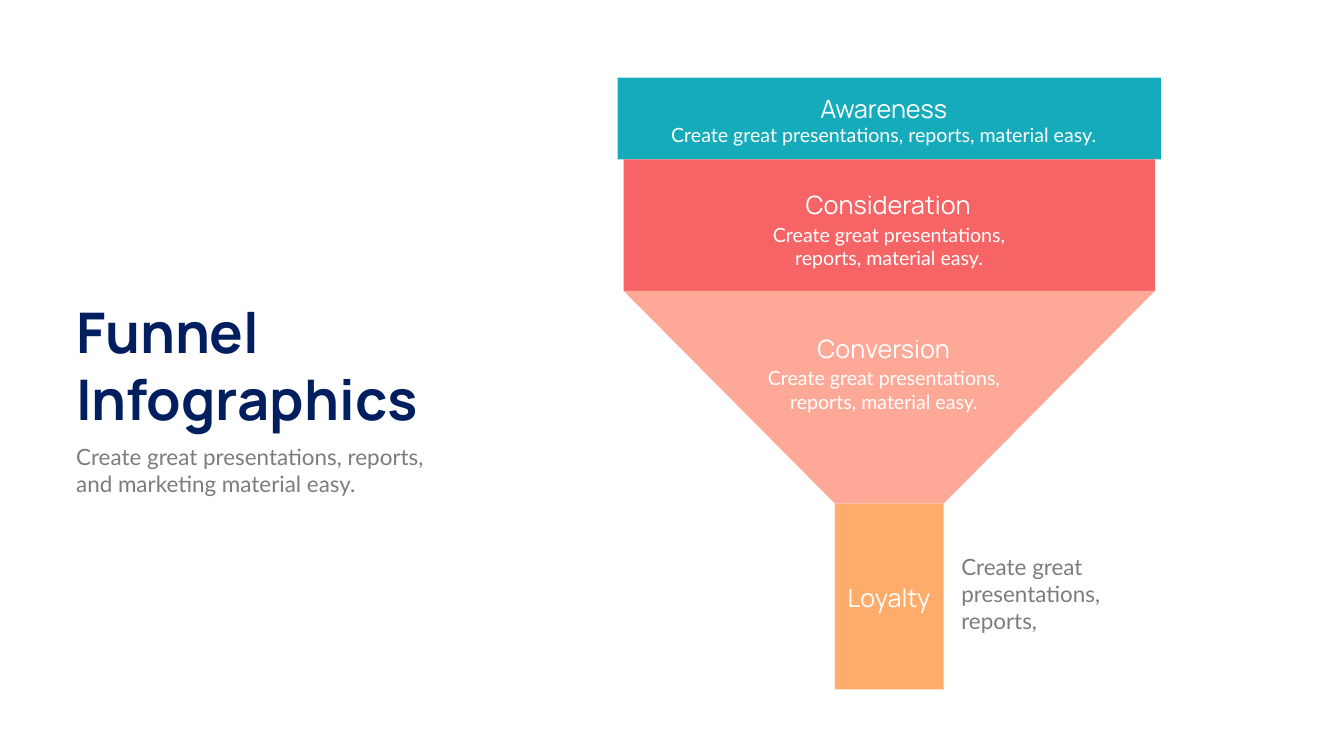
from pptx import Presentation
from pptx.dml.color import RGBColor
from pptx.enum.shapes import MSO_SHAPE
from pptx.enum.text import MSO_ANCHOR, MSO_AUTO_SIZE, PP_ALIGN
from pptx.util import Inches, Pt

THEME = {
    "navy": "011F5F", "grey": "7F7A7E", "white": "FFFFFF",
    "teal": "16ABBA", "red": "F76466", "pink": "FEA998", "orange": "FFAB69",
    "head": "Manrope", "body": "Lato",
    "title": 80, "lead": 32, "label": 36, "note": 28,
}

TITLE = ["Funnel", "Infographics"]
LEAD = ["Create great presentations, reports, and marketing material easy."]
SIDE = ["Create great presentations, reports,"]
NOTE = ["Create great presentations, reports, material easy."]

# Funnel bands from top to bottom: fill, height, upper width, lower width
AXIS, TOP = 17.64, 1.54
BANDS = [
    ("teal", 1.62, 10.78, 10.78),
    ("red", 2.61, 10.54, 10.54),
    ("pink", 4.22, 10.54, 2.16),
    ("orange", 3.69, 2.16, 2.16),
]

# Text on the bands: label, its box, box of its note
STAGES = [
    ("Awareness", (12.59, 1.81, 9.88, 0.71), (12.4, 2.39, 10.26, 0.57)),
    ("Consideration", (12.68, 3.71, 9.88, 0.71), (14.74, 4.37, 5.79, 1.04)),
    ("Conversion", (14.95, 6.56, 5.16, 0.71), (14.86, 7.22, 5.35, 1.04)),
    ("Loyalty", (16.55, 11.5, 2.17, 0.71), None),
]


def write(slide, lines, box, shape=None, size="note", font="body",
          color="white", bold=False, align=PP_ALIGN.CENTER, wrap=True):
    """Fill a placeholder, or a new text box, with one paragraph per line."""
    area = [Inches(n) for n in box]
    if shape is None:
        shape = slide.shapes.add_textbox(*area)
    shape.left, shape.top, shape.width, shape.height = area
    frame = shape.text_frame
    frame.word_wrap = wrap
    frame.auto_size = MSO_AUTO_SIZE.NONE
    frame.vertical_anchor = MSO_ANCHOR.TOP
    frame.text = "\n".join(lines)
    for para in frame.paragraphs:
        para.alignment = align
        para.space_before = Pt(0)
        face = para.font
        face.name, face.size, face.bold = THEME[font], Pt(THEME[size]), bold
        face.color.rgb = RGBColor.from_string(THEME[color])


def band(slide, fill, top, high, upper, lower):
    """Draw one funnel band centred on the axis."""
    left = AXIS - upper / 2
    if upper == lower:
        shape = slide.shapes.add_shape(
            MSO_SHAPE.RECTANGLE, *[Inches(n) for n in (left, top, upper, high)])
    else:
        base = top + high
        form = slide.shapes.build_freeform(
            Inches(left), Inches(top), scale=1.0)
        ends = [(AXIS + upper / 2, top), (AXIS + lower / 2, base),
                (AXIS - lower / 2, base)]
        form.add_line_segments([(Inches(x), Inches(y)) for x, y in ends])
        shape = form.convert_to_shape()
    shape.shadow.inherit = False
    shape.fill.solid()
    shape.fill.fore_color.rgb = RGBColor.from_string(THEME[fill])
    shape.line.fill.background()


def main():
    deck = Presentation()
    deck.slide_width, deck.slide_height = Inches(26.66), Inches(15)
    slide = deck.slides.add_slide(deck.slide_layouts[0])
    left = PP_ALIGN.LEFT

    write(slide, TITLE, (1.41, 5.85, 7.58, 2.79), slide.shapes.title,
          size="title", font="head", color="navy", bold=True, align=left,
          wrap=False)
    write(slide, LEAD, (1.41, 8.74, 7.92, 1.18), slide.placeholders[1],
          size="lead", color="grey", align=left)

    top = TOP
    for fill, high, upper, lower in BANDS:
        band(slide, fill, top, high, upper, lower)
        top += high

    for label, box, note in STAGES:
        write(slide, [label], box, size="label", font="head")
        if note:
            write(slide, NOTE, note)
    write(slide, SIDE, (18.97, 10.93, 4.24, 1.72), size="lead", color="grey",
          align=left)

    deck.save("out.pptx")


if __name__ == "__main__":
    main()
